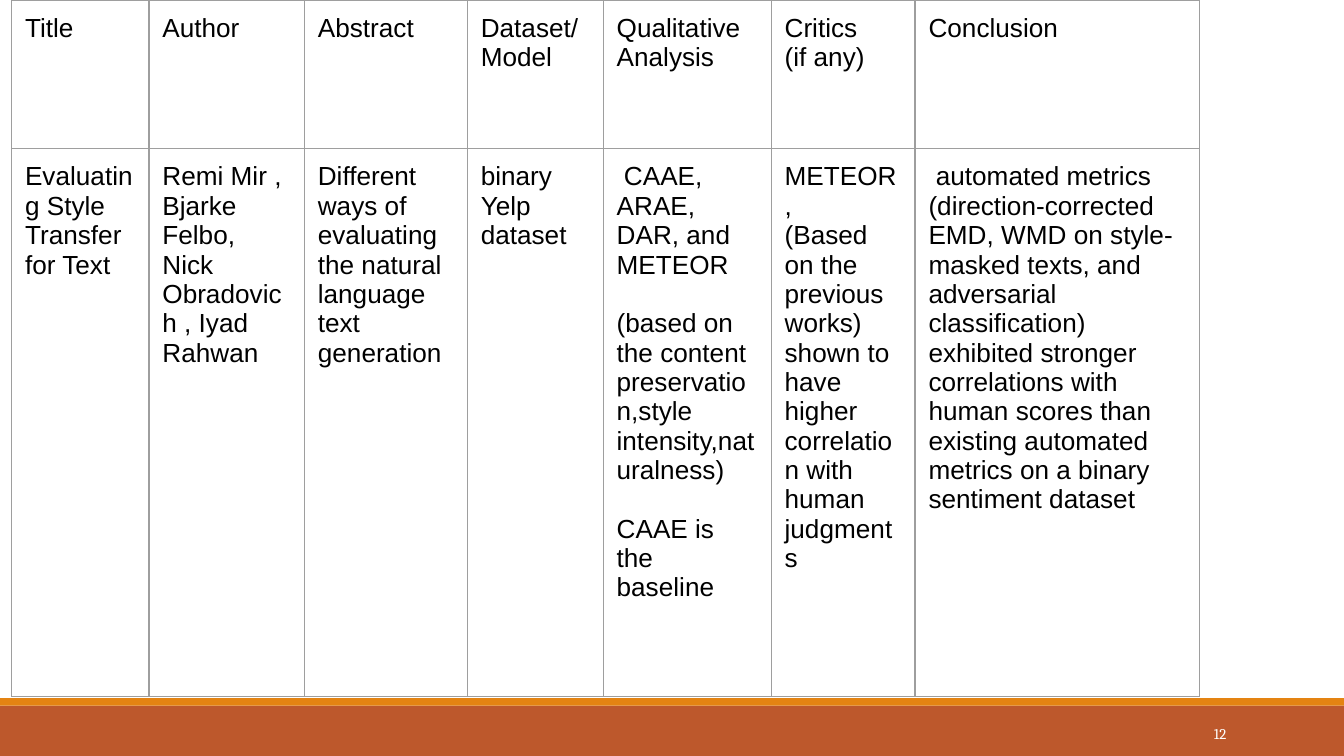
from lxml import etree
from pptx import Presentation
from pptx import util as u
from pptx.dml.color import RGBColor
from pptx.enum import shapes, text
from pptx.oxml.ns import qn

Pt = u.Pt
HUES = {"rust": "BD582C", "gold": "E48312", "white": "FFFFFF", "black": "000000", "rule": "9E9E9E"}
COLS = [73.6, 83.3, 87.3, 72.8, 90, 77.1, 152.2]
ROWS = [79.7, 293.3]
LINE = 15.7
HEADS = ["Title", "Author", "Abstract", "Dataset/\nModel", "Qualitative\nAnalysis",
         "Critics\v(if any)", "Conclusion"]
PAPER = [
    "Evaluating Style Transfer for Text",
    "Remi Mir , Bjarke Felbo, Nick Obradovich , Iyad Rahwan",
    "Different ways of evaluating the natural language text generation",
    "binary\nYelp dataset",
    " CAAE, ARAE, DAR, and\nMETEOR\n\n"
    "(based on the content preservation,style intensity,naturalness)\n\n"
    "CAAE is the baseline",
    "METEOR,\n(Based on the previous works) shown to have higher correlation with human judgments",
    " automated metrics (direction-corrected EMD, WMD on style-masked texts, and adversarial "
    "classification) exhibited stronger correlations with human scores than existing automated "
    "metrics on a binary sentiment dataset",
]


def put(item, vals):
    for key, val in vals.items():
        setattr(item, key, val)


class Deck:
    def __init__(self, wide, high):
        self.show = Presentation()
        put(self.show, {"slide_width": Pt(wide), "slide_height": Pt(high)})
        self.slide = self.show.slides.add_slide(self.show.slide_layouts[6])

    def hue(self, name):
        return RGBColor.from_string(HUES[name])

    def font(self, para, name, size, hue):
        put(para.font, {"name": name, "size": Pt(size)})
        para.font.color.rgb = self.hue(hue)

    def bar(self, box, hue):
        bar = self.slide.shapes.add_shape(shapes.MSO_SHAPE.RECTANGLE, *map(Pt, box))
        bar.shadow.inherit = False
        bar.fill.solid()
        bar.fill.fore_color.rgb = self.hue(hue)
        bar.line.fill.background()

    def label(self, box, words):
        frame = self.slide.shapes.add_textbox(*map(Pt, box)).text_frame
        put(frame, {"word_wrap": True, "vertical_anchor": text.MSO_ANCHOR.MIDDLE,
                    "margin_left": Pt(5), "margin_right": Pt(5),
                    "margin_top": Pt(3), "margin_bottom": Pt(3)})
        para = frame.paragraphs[0]
        put(para, {"text": words, "alignment": text.PP_ALIGN.RIGHT})
        self.font(para, "Cambria", 8, "white")

    def edge(self, cell):
        props = cell._tc.get_or_add_tcPr()
        for spot, side in enumerate(("a:lnL", "a:lnR", "a:lnT", "a:lnB")):
            line = etree.Element(qn(side), w=str(Pt(0.75)))
            fill = etree.SubElement(line, qn("a:solidFill"))
            etree.SubElement(fill, qn("a:srgbClr"), val=HUES["rule"])
            props.insert(spot, line)

    def cell(self, cell, words):
        put(cell, {"margin_" + side: Pt(7.2) for side in ("left", "right", "top", "bottom")})
        cell.fill.background()
        self.edge(cell)
        frame = cell.text_frame
        frame.text = words.replace("\n\n", "\n")
        starts = {part.split("\n")[0] for part in words.split("\n\n")[1:]}
        for para in frame.paragraphs:
            if para.text in starts:
                para.space_before = Pt(LINE)
            self.font(para, "Arial", 14, "black")

    def table(self, left, top, rows):
        size = map(Pt, (left, top, sum(COLS), sum(ROWS)))
        grid = self.slide.shapes.add_table(len(ROWS), len(COLS), *size).table
        put(grid, {"first_row": False, "horz_banding": False})
        for col, wide in zip(grid.columns, COLS):
            col.width = Pt(wide)
        for row, high, line in zip(grid.rows, ROWS, rows):
            row.height = Pt(high)
            for cell, words in zip(row.cells, line):
                self.cell(cell, words)


def main():
    deck = Deck(720, 405)
    deck.bar((0, 378, 720, 27), "rust")
    deck.bar((0, 374, 720, 4), "gold")
    deck.label((585, 382, 77, 21.6), "12")
    deck.table(6.2, 0, [HEADS, PAPER])
    deck.show.save("out.pptx")


if __name__ == "__main__":
    main()
